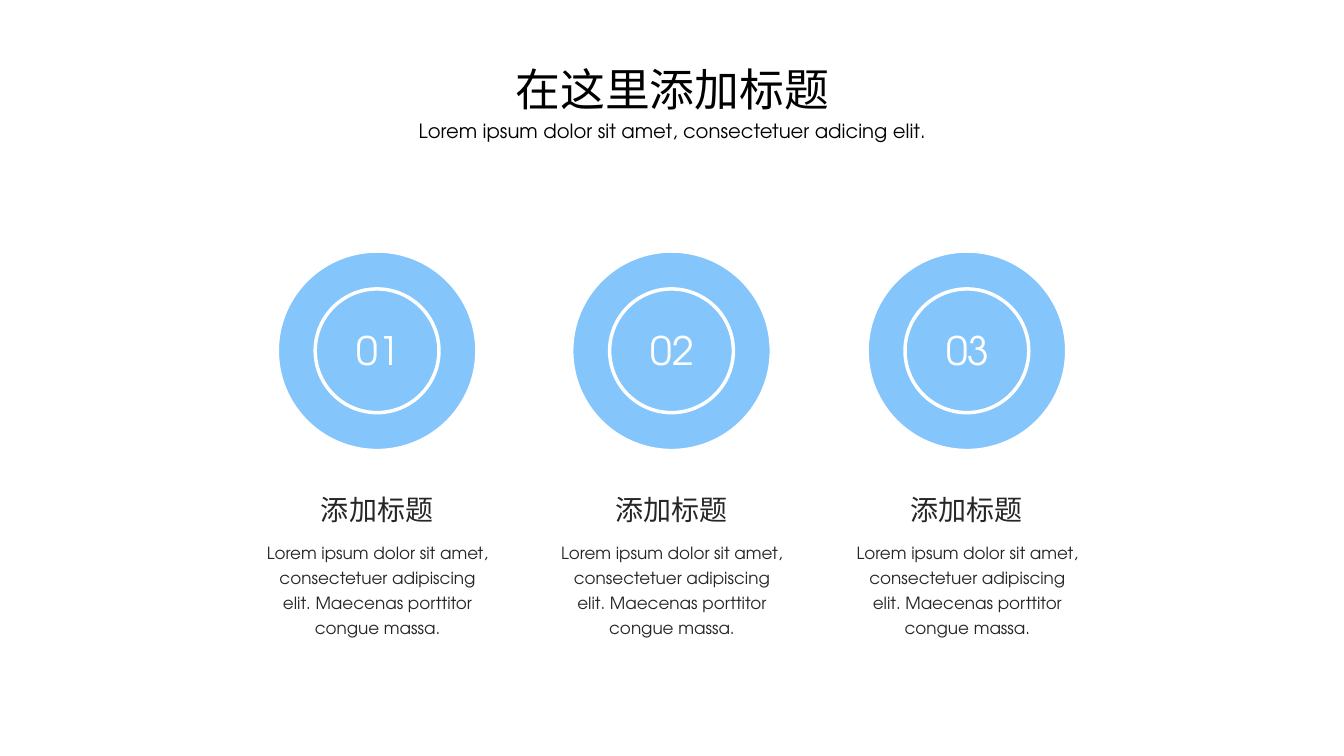
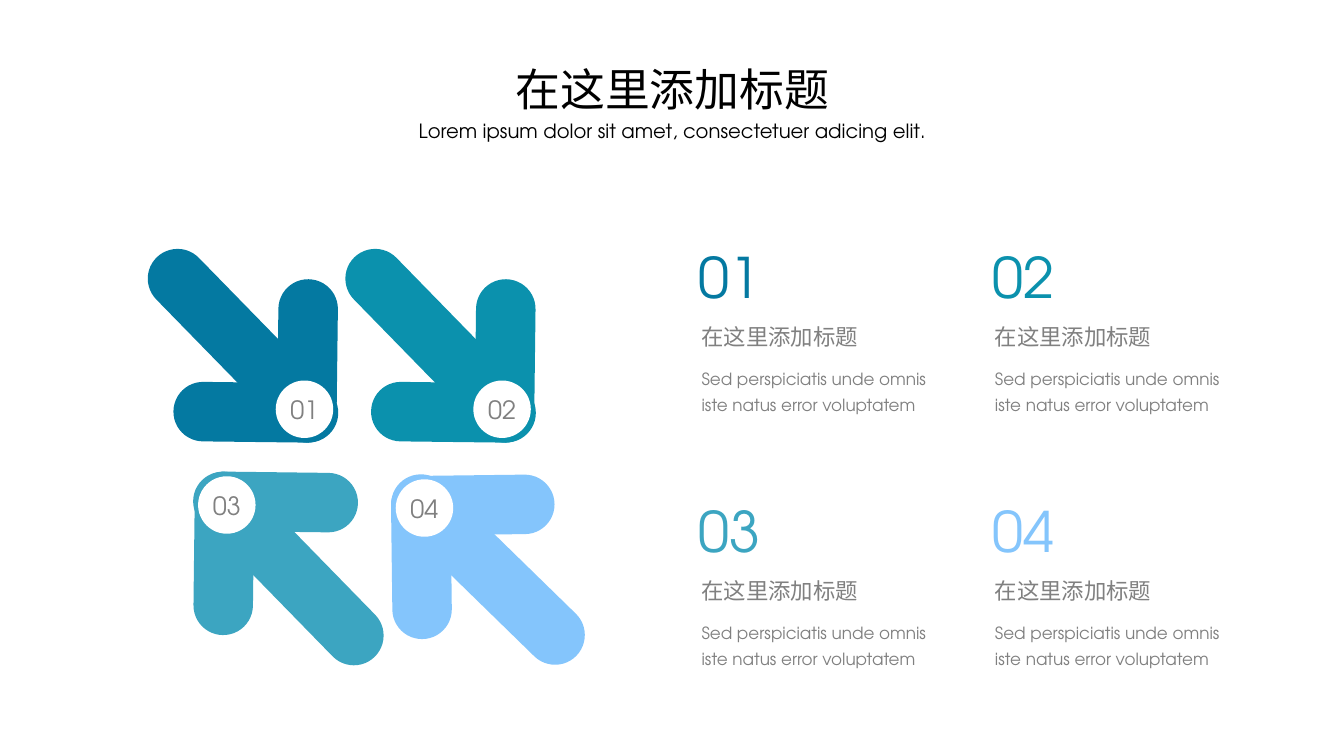
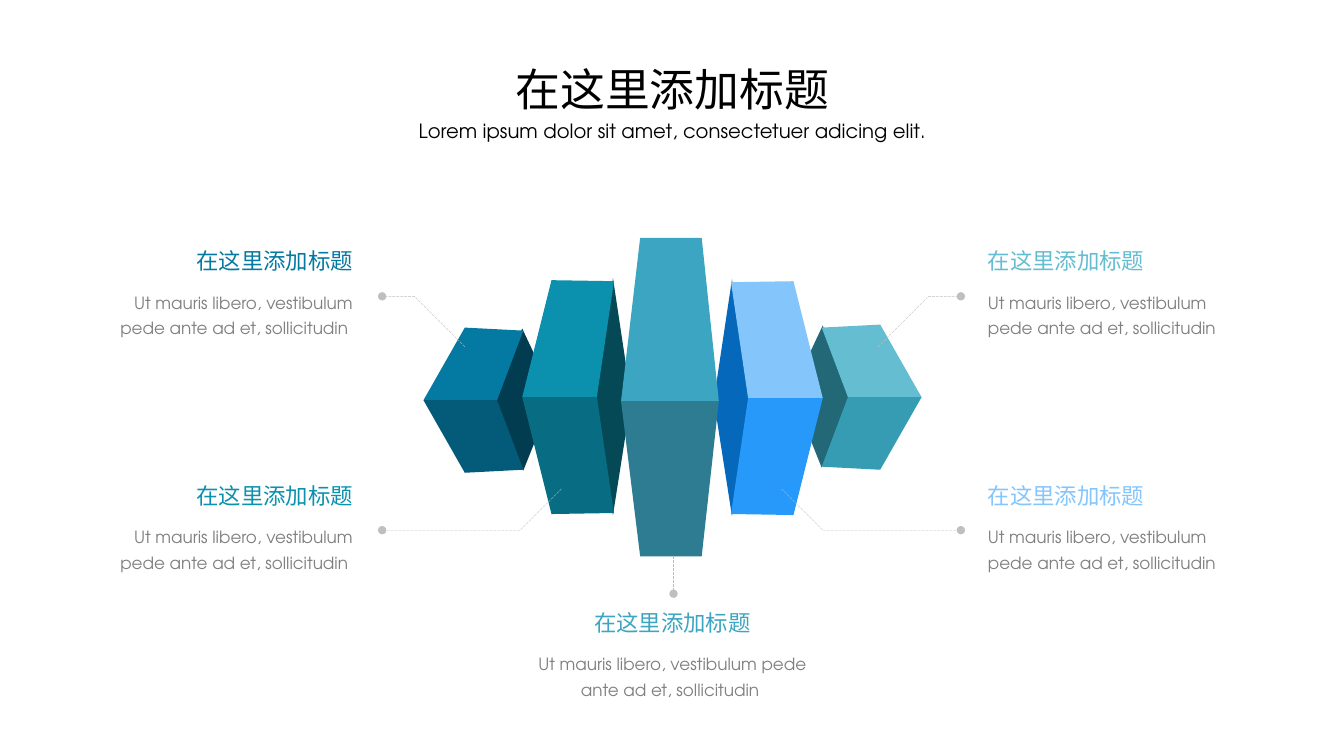
from lxml.etree import SubElement
from pptx import Presentation
from pptx.dml.color import RGBColor
from pptx.enum.dml import MSO_LINE
from pptx.enum.shapes import MSO_CONNECTOR, MSO_SHAPE
from pptx.enum.text import MSO_ANCHOR as Anchor, MSO_AUTO_SIZE, PP_ALIGN as Align
from pptx.oxml.ns import qn
from pptx.util import Emu, Pt

EMU_PER_PX = 9144  # 100 px to the inch
SLIDE_W, SLIDE_H = 1333, 750
TITLE_ONLY = 5

LATIN = "TeX Gyre Adventor"
HAN = "Noto Sans CJK SC"

BLACK = RGBColor(0x00, 0x00, 0x00)
WHITE = RGBColor(0xFF, 0xFF, 0xFF)
CHARCOAL = RGBColor(0x26, 0x26, 0x26)
GRAY = RGBColor(0x80, 0x80, 0x80)
SILVER = RGBColor(0xBF, 0xBF, 0xBF)
NAVY = RGBColor(0x04, 0x79, 0xA1)
NAVY_FRONT = RGBColor(0x03, 0x5B, 0x79)
NAVY_SIDE = RGBColor(0x02, 0x3C, 0x50)
TEAL = RGBColor(0x0B, 0x91, 0xAD)
TEAL_FRONT = RGBColor(0x08, 0x6D, 0x82)
TEAL_SIDE = RGBColor(0x05, 0x48, 0x56)
CYAN = RGBColor(0x3C, 0xA5, 0xC1)
CYAN_FRONT = RGBColor(0x2D, 0x7C, 0x91)
SKY = RGBColor(0x84, 0xC5, 0xFC)
SKY_FRONT = RGBColor(0x26, 0x99, 0xFA)
SKY_SIDE = RGBColor(0x05, 0x68, 0xBB)
AQUA = RGBColor(0x64, 0xBD, 0xD1)
AQUA_FRONT = RGBColor(0x35, 0x9C, 0xB3)
AQUA_SIDE = RGBColor(0x23, 0x68, 0x77)

HEADING = "在这里添加标题"
SUBTITLE = "Lorem ipsum dolor sit amet, consectetuer adicing elit."
STEP_HEADING = "添加标题"
STEP_BODY = ("Lorem ipsum dolor sit amet, consectetuer adipiscing elit. "
             "Maecenas porttitor congue massa.")
ITEM_BODY = "Sed perspiciatis unde omnis iste natus error voluptatem"
CAPTION_BODY = "Ut mauris libero, vestibulum pede ante ad et, sollicitudin "

# Bars of an arrow: centre offset from its tip, length, angle
ARROW_BARS = [(3, -48, 162, 90.7), (-49, 3, 162, 0.7), (-61, -63, 245, 45.7)]
BAR_THICKNESS = 59
BADGE = 57


def px(*lengths):
    return [Emu(round(length * EMU_PER_PX)) for length in lengths]


def write(shape, text, size, color, font=LATIN, align=Align.LEFT, spacing=None):
    frame = shape.text_frame
    frame.text = text
    paragraph = frame.paragraphs[0]
    paragraph.alignment = align
    if spacing:
        paragraph.line_spacing = spacing
    run = paragraph.runs[0]
    run.font.name = font
    run.font.size = Pt(size)
    run.font.color.rgb = color
    latin = run.font._element.find(qn("a:latin"))
    east_asian = SubElement(run.font._element, qn("a:ea"))
    east_asian.set("typeface", font)
    latin.addnext(east_asian)


def fit(shape, wrap, anchor=Anchor.TOP):
    frame = shape.text_frame
    frame.word_wrap = wrap
    frame.auto_size = MSO_AUTO_SIZE.SHAPE_TO_FIT_TEXT
    frame.vertical_anchor = anchor


def add_label(slide, box, text, size, color, wrap=False, anchor=Anchor.TOP, **style):
    label = slide.shapes.add_textbox(*px(*box))
    fit(label, wrap, anchor)
    write(label, text, size, color, **style)


def add_solid(shapes, kind, box, color):
    solid = shapes.add_shape(kind, *px(*box))
    solid.shadow.inherit = False
    solid.fill.solid()
    solid.fill.fore_color.rgb = color
    solid.line.fill.background()
    return solid


def add_outline(slide, points, close):
    start, *rest = points
    builder = slide.shapes.build_freeform(*start, scale=EMU_PER_PX)
    builder.add_line_segments(rest, close=close)
    outline = builder.convert_to_shape()
    outline.shadow.inherit = False
    return outline


def add_titled_slide(deck):
    slide = deck.slides.add_slide(deck.slide_layouts[TITLE_ONLY])
    title = slide.shapes.title
    title.left, title.top, title.width, title.height = px(500, 56, 334, 64)
    fit(title, wrap=False)
    write(title, HEADING, 32, BLACK, font=HAN, align=Align.CENTER)
    add_label(slide, (403, 113, 528, 34), SUBTITLE, 14, BLACK, align=Align.CENTER)
    return slide


def add_step(slide, left, top, number):
    add_solid(slide.shapes, MSO_SHAPE.OVAL, (left + 59, top + 35, 123, 128), SKY)
    ring = add_solid(slide.shapes, MSO_SHAPE.DONUT, (left + 21, top, 198, 198), SKY)
    ring.adjustments[0] = 0.19
    ring.line.color.rgb = WHITE
    ring.line.width = Pt(2.5)
    add_label(slide, (left + 89, top + 70, 64, 57), number, 28, WHITE,
              align=Align.CENTER)
    add_label(slide, (left + 54, top + 235, 132, 44), STEP_HEADING, 20, CHARCOAL,
              font=HAN, align=Align.CENTER)
    add_label(slide, (left, top + 279, 241, 109), STEP_BODY, 12, CHARCOAL,
              wrap=True, align=Align.CENTER, spacing=1.25)


def build_steps(deck):
    slide = add_titled_slide(deck)
    for index in range(3):
        add_step(slide, 254 + index * 585 // 2, 249, f"{index + 1:02}")


def add_arrow(slide, tip_x, tip_y, number, color, reverse, transpose):
    """Draw a three-bar arrow around its tip; transpose swaps the two axes."""
    arrow = slide.shapes.add_group_shape()
    sign = -1 if reverse else 1
    for dx, dy, length, angle in ARROW_BARS:
        if transpose:
            dx, dy, angle = dy, dx, 90 - angle
        box = (tip_x + sign * dx - length / 2, tip_y + sign * dy - BAR_THICKNESS / 2,
               length, BAR_THICKNESS)
        bar = add_solid(arrow.shapes, MSO_SHAPE.ROUNDED_RECTANGLE, box, color)
        bar.adjustments[0] = 0.5
        bar.rotation = angle
    badge = add_solid(arrow.shapes, MSO_SHAPE.OVAL,
                      (tip_x - BADGE / 2, tip_y - BADGE / 2, BADGE, BADGE), WHITE)
    frame = badge.text_frame
    frame.margin_left = frame.margin_right = frame.margin_top = frame.margin_bottom = 0
    frame.vertical_anchor = Anchor.MIDDLE
    write(badge, number, 18, GRAY, align=Align.CENTER)


def add_item(slide, left, top, number, color):
    add_label(slide, (left - 3, top, 82, 77), number, 39.9, color, align=Align.CENTER)
    add_label(slide, (left, top + 80, 177, 37), HEADING, 16, GRAY, font=HAN)
    add_label(slide, (left, top + 119, 257, 60), ITEM_BODY, 12, GRAY,
              wrap=True, spacing=1.3)


def build_arrows(deck):
    slide = add_titled_slide(deck)
    arrows = [
        (302, 406, NAVY, False, False),
        (498, 406, TEAL, False, False),
        (225, 501, CYAN, True, False),
        (421, 504, SKY, True, True),
    ]
    for index, (tip_x, tip_y, color, reverse, transpose) in enumerate(arrows):
        number = f"{index + 1:02}"
        row, column = divmod(index, 2)
        add_arrow(slide, tip_x, tip_y, number, color, reverse, transpose)
        add_item(slide, 686 + column * 291, 236 + row * 252, number, color)


def mirrored(face):
    return [(dx, -dy) for dx, dy in face]


OUTER_TOP = [(148, -69), (174, 0), (247, 0), (206, -72)]
INNER_TOP = [(58, -115), (75, 0), (149, 0), (120, -116)]
OUTER_BLOCK = [[(149, -71), (118, -5), (148, 70), (178, 0)],
               OUTER_TOP, mirrored(OUTER_TOP)]
INNER_BLOCK = [[(59, -118), (41, 2), (59, 117), (76, -2)],
               INNER_TOP, mirrored(INNER_TOP)]
MIDDLE_BLOCK = [[(-32, -162), (-51, 0), (46, 0), (29, -162)],
                [(-32, 154), (-51, 0), (46, 0), (29, 154)]]
UPPER_LEADER = [(205, 344), (255, 294), (287, 294)]
LOWER_LEADER = [(109, 485), (150, 526), (287, 526)]


def add_block(slide, axis, fold, side, faces, colors):
    """Draw faces given from the axis and fold line; side -1 puts them on the left."""
    for face, color in zip(faces, colors):
        points = [(axis + side * dx, fold + dy) for dx, dy in face]
        panel = add_outline(slide, points, close=True)
        panel.fill.solid()
        panel.fill.fore_color.rgb = color
        panel.line.fill.background()


def style_leader(leader):
    leader.line.color.rgb = SILVER
    leader.line.width = Pt(0.25)
    leader.line.dash_style = MSO_LINE.LONG_DASH
    SubElement(leader.line._get_or_add_ln(), qn("a:tailEnd")).set("type", "oval")


def add_leader(slide, axis, side, route):
    leader = add_outline(slide, [(axis + side * dx, y) for dx, y in route], close=False)
    leader.fill.background()
    style_leader(leader)


def add_middle_leader(slide, x, top, bottom):
    leader = slide.shapes.add_connector(MSO_CONNECTOR.STRAIGHT, *px(x, top, x, bottom))
    style_leader(leader)
    SubElement(leader._element.spPr, qn("a:effectLst"))


def add_caption(slide, left, top, width, color, align):
    heading_w = 177
    slack = width - heading_w
    shift = {Align.LEFT: 0, Align.CENTER: slack / 2, Align.RIGHT: slack}[align]
    add_label(slide, (left + shift, top, heading_w, 37), HEADING, 16, color,
              anchor=Anchor.BOTTOM, font=HAN, align=align)
    add_label(slide, (left, top + 40, width, 58), CAPTION_BODY, 12, GRAY,
              wrap=True, align=align, spacing=Pt(18))


def build_blocks(deck):
    slide = add_titled_slide(deck)
    blocks = [
        (394, 1, OUTER_BLOCK, (AQUA_SIDE, AQUA, AQUA_FRONT)),
        (397, -1, OUTER_BLOCK, (NAVY_SIDE, NAVY, NAVY_FRONT)),
        (395, 1, INNER_BLOCK, (SKY_SIDE, SKY, SKY_FRONT)),
        (394, -1, INNER_BLOCK, (TEAL_SIDE, TEAL, TEAL_FRONT)),
        (398, 1, MIDDLE_BLOCK, (CYAN, CYAN_FRONT)),
    ]
    for fold, side, faces, colors in blocks:
        add_block(slide, 667, fold, side, faces, colors)
    for side in (1, -1):
        for route in (UPPER_LEADER, LOWER_LEADER):
            add_leader(slide, 666, side, route)
    add_middle_leader(slide, 668, 552, 589)

    captions = [
        (106, 240, 254, NAVY, Align.RIGHT),
        (106, 473, 254, TEAL, Align.RIGHT),
        (970, 473, 254, SKY, Align.LEFT),
        (970, 240, 254, AQUA, Align.LEFT),
        (518, 599, 298, CYAN, Align.CENTER),
    ]
    for caption in captions:
        add_caption(slide, *caption)


def main():
    deck = Presentation()
    deck.slide_width, deck.slide_height = px(SLIDE_W, SLIDE_H)
    build_steps(deck)
    build_arrows(deck)
    build_blocks(deck)
    deck.save("out.pptx")


if __name__ == "__main__":
    main()
